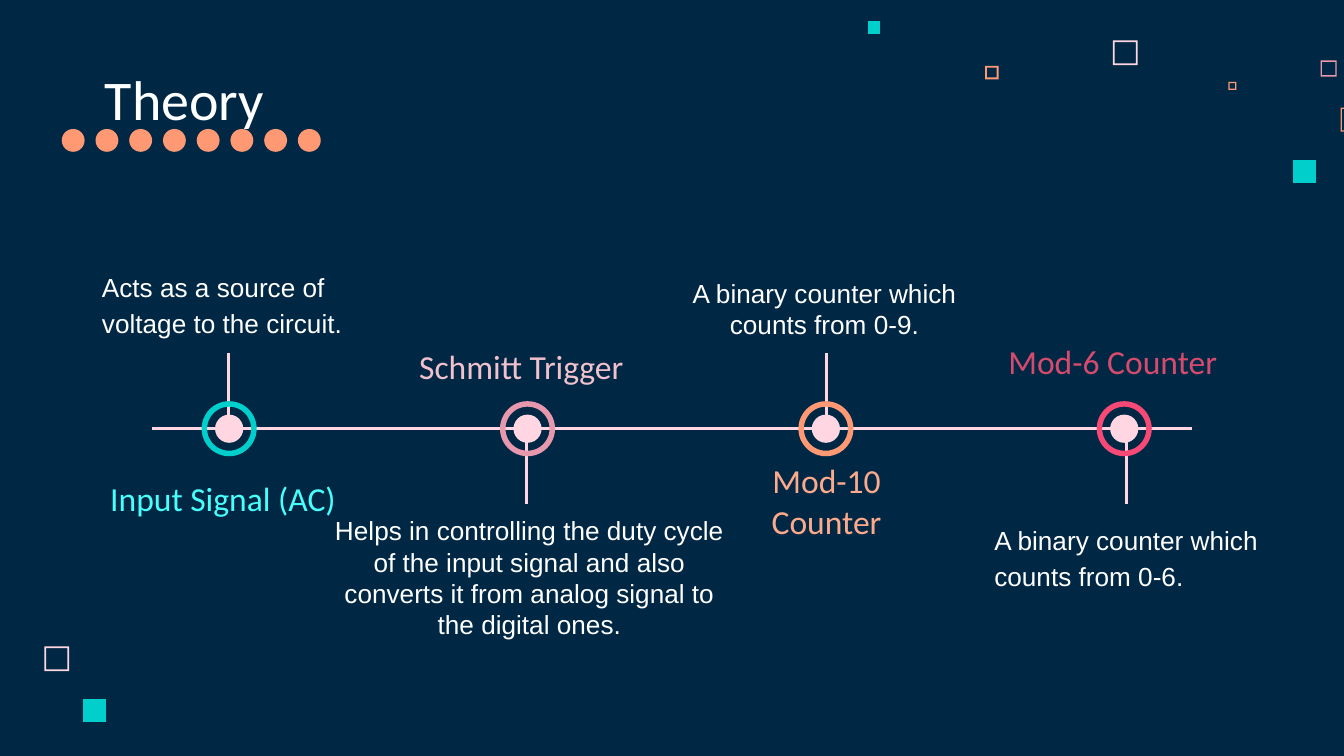
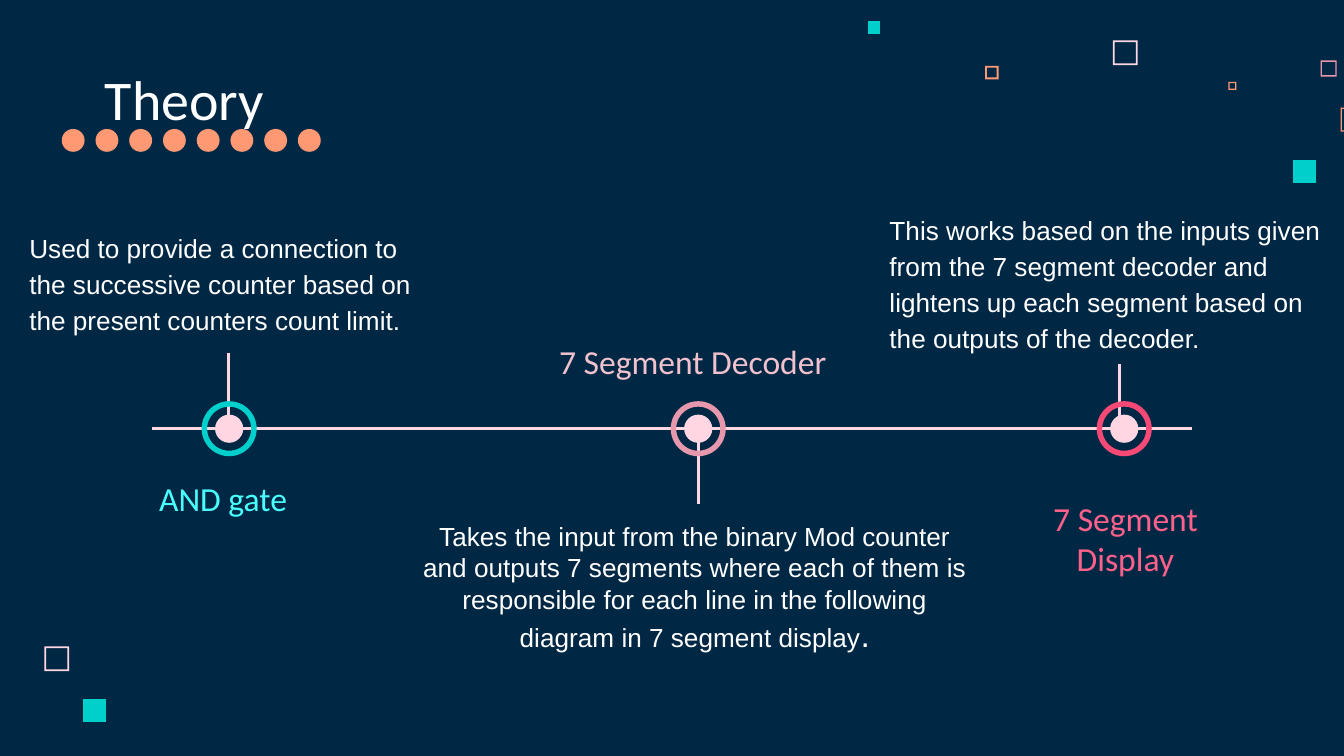
from dataclasses import dataclass
from typing import NamedTuple

from lxml.etree import SubElement
from pptx import Presentation
from pptx.dml.color import RGBColor
from pptx.enum.shapes import MSO_CONNECTOR, MSO_SHAPE
from pptx.enum.text import MSO_ANCHOR, MSO_AUTO_SIZE, PP_ALIGN
from pptx.oxml.ns import qn
from pptx.util import Inches, Pt

WIDTH, HEIGHT = Inches(10), Inches(5.625)
COLS, ROWS = 100, 56.25

NAVY, WHITE, PALE = "002845", "FFFFFF", "FFD6E1"
TEAL, ROSE, PEACH, PINK = "00CFCC", "E898AC", "FF9973", "F64975"
AQUA, BLUSH, CORAL = "49FFFC", "F1C1CD", "FDAA8C"

TRACK = 31.9
DOT, RING = 2.1, 4.1
STEM = 5
FIRST, PITCH = 17.05, 22.2
LAST = FIRST + 3 * PITCH


class Box(NamedTuple):
    left: float
    top: float
    width: float
    height: float


class Square(NamedTuple):
    left: float
    top: float
    size: float
    color: str
    edge: float = 0


@dataclass
class Label:
    text: str
    box: Box
    color: str


@dataclass
class Note:
    text: str
    box: Box
    center: bool = False
    anchor: MSO_ANCHOR = MSO_ANCHOR.TOP
    tail: str = ""


@dataclass
class Node:
    mid: float
    color: str
    stem: tuple[float, float]
    label: Label
    note: Note


SQUARES = [
    Square(82.8, 3, 1.85, PALE, 0.13),
    Square(98.25, 4.5, 1.2, ROSE, 0.1),
    Square(91.4, 6.1, 0.6, PEACH, 0.1),
    Square(99.75, 8, 1.8, PEACH, 0.1),
    Square(96.2, 11.9, 1.7, TEAL),
    Square(73.3, 4.9, 1, PEACH, 0.13),
    Square(64.6, 1.6, 0.9, TEAL),
    Square(3.3, 48.1, 1.85, PALE, 0.13),
    Square(6.2, 52, 1.7, TEAL),
]

BOTTOM = MSO_ANCHOR.BOTTOM

STAGES = [
    Node(FIRST, TEAL, (17, 26.3),
         Label("Input Signal (AC)", Box(6.9, 34.7, 19.4, 4.7), AQUA),
         Note("Acts as a source of voltage to the circuit.",
              Box(5.4, 19.1, 23.1, 7.1), anchor=BOTTOM)),
    Node(FIRST + PITCH, ROSE, (39.2, 32.5),
         Label("Schmitt Trigger", Box(29.8, 24.9, 18, 4.7), BLUSH),
         Note("Helps in controlling the duty cycle of the input signal and "
              "also converts it from analog signal to the digital ones.",
              Box(23.6, 37.3, 31.6, 7.1), center=True)),
    Node(FIRST + 2 * PITCH, PEACH, (61.5, 26.3),
         Label("Mod-10 Counter", Box(52.4, 34.9, 18.2, 4.7), CORAL),
         Note("A binary counter which counts from 0-9.",
              Box(49.8, 19.2, 23.1, 7.1), center=True, anchor=BOTTOM)),
    Node(LAST, PINK, (83.8, 32.5),
         Label("Mod-6 Counter", Box(74, 24.5, 17.6, 4.7), "D64A6D"),
         Note("A binary counter which counts from 0-6.",
              Box(71.8, 37.7, 24, 7.1))),
]

OUTPUTS = [
    Node(FIRST, TEAL, (17, 26.3),
         Label("AND gate", Box(6.9, 34.7, 19.4, 4.7), AQUA),
         Note("Used to provide a connection to the successive counter based "
              "on the present counters count limit.",
              Box(0, 16.3, 33.7, 9.7), anchor=BOTTOM)),
    Node(51.95, ROSE, (52, 32.5),
         Label("7 Segment Decoder", Box(40.5, 24.5, 22.1, 4.7), BLUSH),
         Note("Takes the input from the binary Mod counter and outputs 7 "
              "segments where each of them is responsible for each line in "
              "the following diagram in 7 segment display",
              Box(30.5, 37.7, 42.4, 7.1), center=True, tail=".")),
    Node(LAST, PINK, (83.3, 27.1),
         Label("7 Segment Display", Box(73.6, 37.7, 20.3, 4.7), "FF618B"),
         Note("This works based on the inputs given from the 7 segment "
              "decoder and lightens up each segment based on the outputs of "
              "the decoder.", Box(64, 14.6, 36, 7.1))),
]


def col(count: float) -> int:
    return round(WIDTH * count / COLS)


def row(count: float) -> int:
    return round(HEIGHT * count / ROWS)


def place(box: Box) -> tuple[int, int, int, int]:
    return col(box.left), row(box.top), col(box.width), row(box.height)


def paint(fill, color: str) -> None:
    fill.solid()
    fill.fore_color.rgb = RGBColor.from_string(color)


def finish(shape, color: str) -> None:
    paint(shape.fill, color)
    shape.line.fill.background()
    shape.shadow.inherit = False


def style(font, name: str, size: float, color: str) -> None:
    font.name, font.size, font.bold = name, Pt(size), False
    font.color.rgb = RGBColor.from_string(color)


def set_frame(frame, anchor: MSO_ANCHOR) -> None:
    frame.word_wrap = True
    frame.auto_size = MSO_AUTO_SIZE.NONE
    frame.vertical_anchor = anchor
    frame.margin_left = frame.margin_right = Inches(0.1)
    frame.margin_top = frame.margin_bottom = Inches(0.1)


def add_square(slide, item: Square) -> None:
    def corners(inset: float) -> list[tuple[int, int]]:
        left, top = col(item.left + inset), row(item.top + inset)
        side = col(item.size - 2 * inset)
        return [(left, top), (left + side, top),
                (left + side, top + side), (left, top + side)]

    outer = corners(0)
    pen = slide.shapes.build_freeform(*outer[0])
    pen.add_line_segments(outer[1:], close=True)
    if item.edge:
        inner = corners(item.edge)[::-1]
        pen.move_to(*inner[0])
        pen.add_line_segments(inner[1:], close=True)
    finish(pen.convert_to_shape(), item.color)


def add_line(slide, left: float, top: float, right: float, low: float) -> None:
    line = slide.shapes.add_connector(
        MSO_CONNECTOR.STRAIGHT, col(left), row(top), col(right), row(low))
    line.line.color.rgb = RGBColor.from_string(PALE)
    line.line.width = Pt(1.5)
    SubElement(line._element.spPr, qn("a:effectLst"))


def add_mark(slide, node: Node) -> None:
    group = slide.shapes.add_group_shape().shapes
    for kind, size, color in ((MSO_SHAPE.OVAL, DOT, PALE),
                              (MSO_SHAPE.DONUT, RING, node.color)):
        half = size / 2
        shape = group.add_shape(
            kind, *place(Box(node.mid - half, TRACK - half, size, size)))
        if kind == MSO_SHAPE.DONUT:
            shape.adjustments[0] = 0.1
        finish(shape, color)


def add_label(slide, label: Label) -> None:
    frame = slide.shapes.add_textbox(*place(label.box)).text_frame
    set_frame(frame, MSO_ANCHOR.MIDDLE)
    para = frame.paragraphs[0]
    para.text = label.text
    para.alignment = PP_ALIGN.CENTER
    style(para.font, "Calibri", 18, label.color)


def add_note(slide, note: Note) -> None:
    frame = slide.shapes.add_textbox(*place(note.box)).text_frame
    set_frame(frame, note.anchor)
    para = frame.paragraphs[0]
    para.text = note.text
    style(para.font, "Arial", 14, WHITE)
    if note.tail:
        run = para.add_run()
        run.text = note.tail
        run.font.size = Pt(18)
    if note.center:
        para.alignment = PP_ALIGN.CENTER
        if note.anchor == MSO_ANCHOR.TOP:
            para.space_after = Pt(16)
    else:
        para.line_spacing = 1.15
        props = para._p.get_or_add_pPr()
        props.set("marL", str(Inches(0.12)))
        props.set("indent", "0")


def add_title(slide, text: str) -> None:
    title = slide.shapes.title
    title.left, title.top, title.width, title.height = place(
        Box(6.8, 4.5, 51.7, 6.3))
    set_frame(title.text_frame, BOTTOM)
    para = title.text_frame.paragraphs[0]
    para.text = text
    para.alignment = PP_ALIGN.LEFT
    style(para.font, "Calibri", 30, WHITE)


def add_dots(slide) -> None:
    for index in range(8):
        dot = slide.shapes.add_shape(
            MSO_SHAPE.OVAL, *place(Box(4.6 + 2.51 * index, 9.6, 1.7, 1.7)))
        finish(dot, PEACH)


def add_page(deck, nodes: list[Node]) -> None:
    slide = deck.slides.add_slide(deck.slide_layouts.get_by_name("Title Only"))
    for item in SQUARES:
        add_square(slide, item)
    for node in nodes:
        left, top = node.stem
        add_line(slide, left, top, left, top + STEM)
    add_title(slide, "Theory")
    add_line(slide, 11.3, TRACK, 88.7, TRACK)
    for node in nodes:
        add_mark(slide, node)
    for node in nodes:
        add_note(slide, node.note)
        add_label(slide, node.label)
    add_dots(slide)


def main() -> None:
    deck = Presentation()
    deck.slide_width, deck.slide_height = WIDTH, HEIGHT
    paint(deck.slide_master.background.fill, NAVY)
    for nodes in (STAGES, OUTPUTS):
        add_page(deck, nodes)
    deck.save("out.pptx")


if __name__ == "__main__":
    main()
